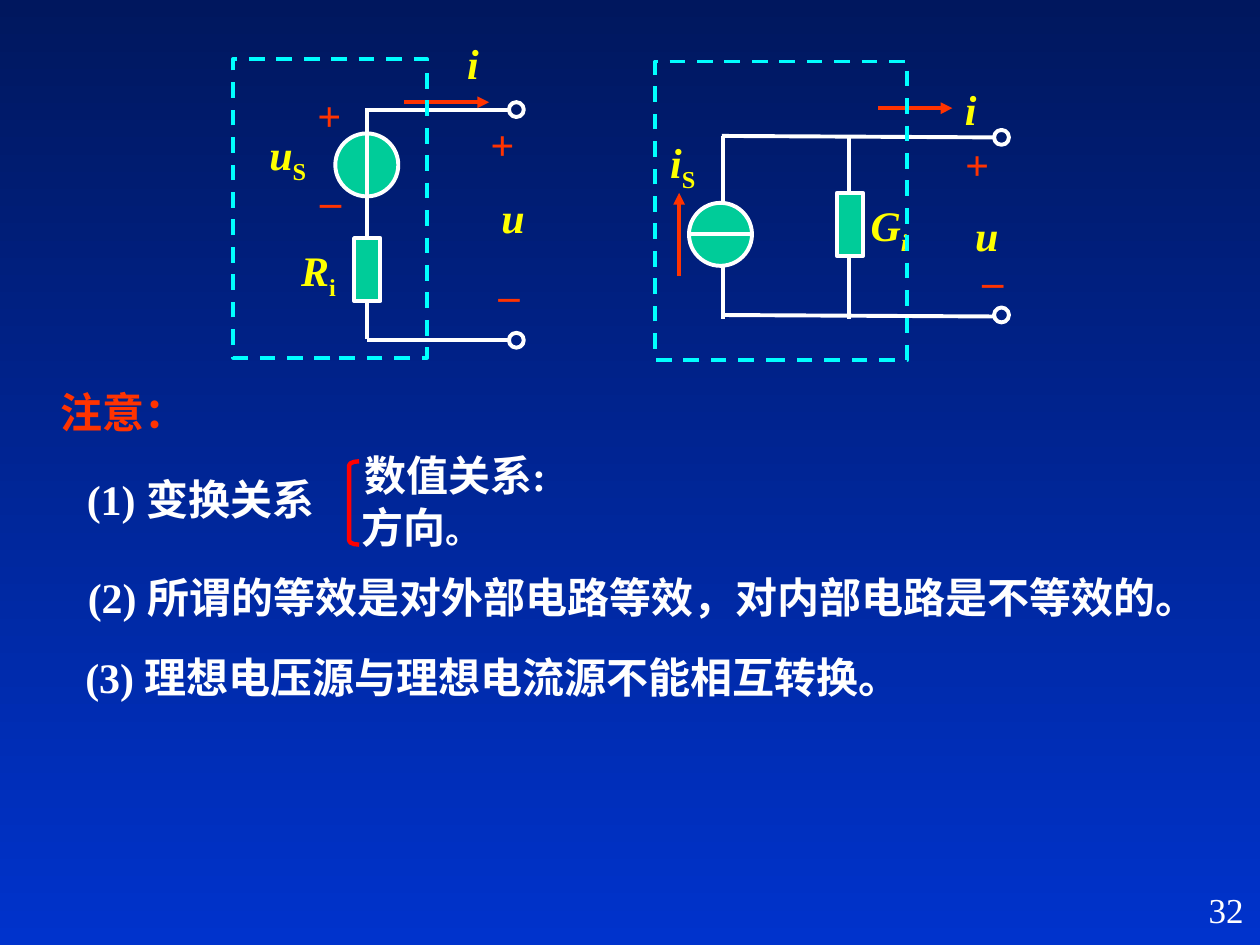
from lxml import etree
from pptx import Presentation, util as u
from pptx.dml.color import RGBColor
from pptx.enum import dml, shapes, text
from pptx.oxml.ns import qn

COLORS = {"top": "00175E", "bottom": "0033CC", "white": "FFFFFF", "label": "FFFF00",
          "sign": "FF3300", "part": "00CC99", "frame": "00FFFF", "bracket": "FF0000"}
RGB = {name: RGBColor.from_string(value) for name, value in COLORS.items()}
FONT = "Times New Roman"
LEFT, CENTER, RIGHT = text.PP_ALIGN.LEFT, text.PP_ALIGN.CENTER, text.PP_ALIGN.RIGHT
KIND = shapes.MSO_SHAPE

deck = Presentation()
deck.slide_width, deck.slide_height = u.Cm(25.4), u.Cm(19.05)
slide = deck.slides.add_slide(deck.slide_layouts[6])
backdrop = slide.background.fill
backdrop.gradient()
backdrop.gradient_angle = 270
for stop, name, position in zip(backdrop.gradient_stops, ("top", "bottom"), (0, 1)):
    stop.color.rgb = RGB[name]
    stop.position = position


def write(runs, x, y, width, height=1.27, color="white", align=LEFT, **base):
    box = slide.shapes.add_textbox(*map(u.Cm, (x, y, width, height)))
    frame = box.text_frame
    frame.word_wrap = True
    line = frame.paragraphs[0]
    line.alignment = align
    for words, changes in runs:
        run = line.add_run()
        run.text = words
        look = {"name": FONT, "size": u.Pt(24), "bold": True, **base, **changes}
        offset = look.pop("baseline", None)
        for key, value in look.items():
            setattr(run.font, key, value)
        run.font.color.rgb = RGB[color]
        if offset:
            run.font._element.set("baseline", str(offset))


def draw(kind, x, y, width, height, fill=None, line="white", weight=2.25):
    part = slide.shapes.add_shape(kind, *map(u.Cm, (x, y, width, height)))
    part.shadow.inherit = False
    if fill:
        part.fill.solid()
        part.fill.fore_color.rgb = RGB[fill]
    else:
        part.fill.background()
    part.line.color.rgb = RGB[line]
    part.line.width = u.Pt(weight)
    return part


notes = [("注意：", 0.97, 7.67, 3.18, "sign"),
         ("(1) 变换关系", 1.5, 9.42, 6.88, "white"),
         ("数值关系:", 7.09, 8.94, 4.6, "white"),
         ("(2) 所谓的等效是对外部电路等效，对内部电路是不等效的。", 1.52, 11.4, 23.72, "white"),
         ("(3) 理想电压源与理想电流源不能相互转换。", 1.47, 13, 18.16, "white")]
for words, x, y, width, color in notes:
    write([(words, {})], x, y, width, color=color)
write([("方向", {}), ("。", {"size": u.Pt(20)})], 7.04, 9.98, 3.2)
bracket = draw(KIND.LEFT_BRACKET, 7.04, 9.3, 0.2, 1.68, line="bracket", weight=2.5)
bracket.adjustments[0] = 0.4

back_wires = [(7.37, 2.21, 10.26, 2.21), (7.39, 6.86, 10.26, 6.86),
              (14.55, 2.74, 20.04, 2.77), (14.55, 6.35, 20.04, 6.38),
              (14.58, 2.74, 14.58, 6.43), (17.12, 2.74, 17.12, 6.43)]
front_wires = [(7.39, 2.18, 7.39, 6.83), (13.89, 4.72, 15.16, 4.72)]
arrows = [(8.15, 2.06, 9.86, 2.06), (17.7, 2.18, 19.2, 2.18), (13.69, 5.56, 13.69, 3.89)]
sources = [(6.76, 2.69), (13.89, 4.09)]

for layer, color in ((back_wires, "white"), (front_wires, "white"), (arrows, "sign")):
    if layer is front_wires:
        for x, y in sources:
            draw(KIND.OVAL, x, y, 1.27, 1.27, "part")
    for ends in layer:
        wire = slide.shapes.add_connector(shapes.MSO_CONNECTOR.STRAIGHT, *map(u.Cm, ends))
        wire.line.color.rgb = RGB[color]
        wire.line.width = u.Pt(2.25)
        if layer is arrows:
            etree.SubElement(wire.line._get_or_add_ln(), qn("a:tailEnd"), type="triangle")
        etree.SubElement(wire._element.spPr, qn("a:effectLst"))

for x, y in ((7.14, 4.8), (16.87, 3.89)):
    draw(KIND.RECTANGLE, x, y, 0.53, 1.27, "part")
for x, y in ((10.26, 2.06), (10.26, 6.71), (20.04, 2.62), (20.04, 6.2)):
    draw(KIND.OVAL, x, y, 0.3, 0.3)

quantities = [("i", "", 9.17, 0.64), ("u", "S", 5.18, 2.46), ("R", "i", 5.82, 4.8),
              ("u", "", 9.86, 3.73), ("i", "", 19.2, 1.55), ("i", "S", 13.26, 2.62),
              ("G", "i", 17.3, 3.89), ("u", "", 19.41, 4.09)]
for symbol, index, x, y in quantities:
    runs = [(symbol, {})]
    if index:
        runs.append((index, {"italic": symbol == "G", "baseline": -25000}))
    write(runs, x, y, 1.47, 1.42 if index else 1.27, "label", italic=True)

for sign, x, y in (("+", 9.63, 2.26), ("_", 9.86, 5), ("+", 19.2, 2.67), ("_", 19.61, 4.72)):
    write([(sign, {})], x, y, 1.27, color="sign", italic=True)
for sign, x, y in (("+", 6.15, 1.68), ("_", 6.18, 3.12)):
    write([(sign, {})], x, y, 0.97, color="sign", align=CENTER)

for x, y, width in ((4.7, 1.19, 3.91), (13.21, 1.24, 5.08)):
    border = draw(KIND.RECTANGLE, x, y, width, 6.02, line="frame")
    border.line.dash_style = dml.MSO_LINE.DASH

write([("32", {})], 20.04, 17.78, 5.28, align=RIGHT, size=u.Pt(20), bold=False)
deck.save("out.pptx")
